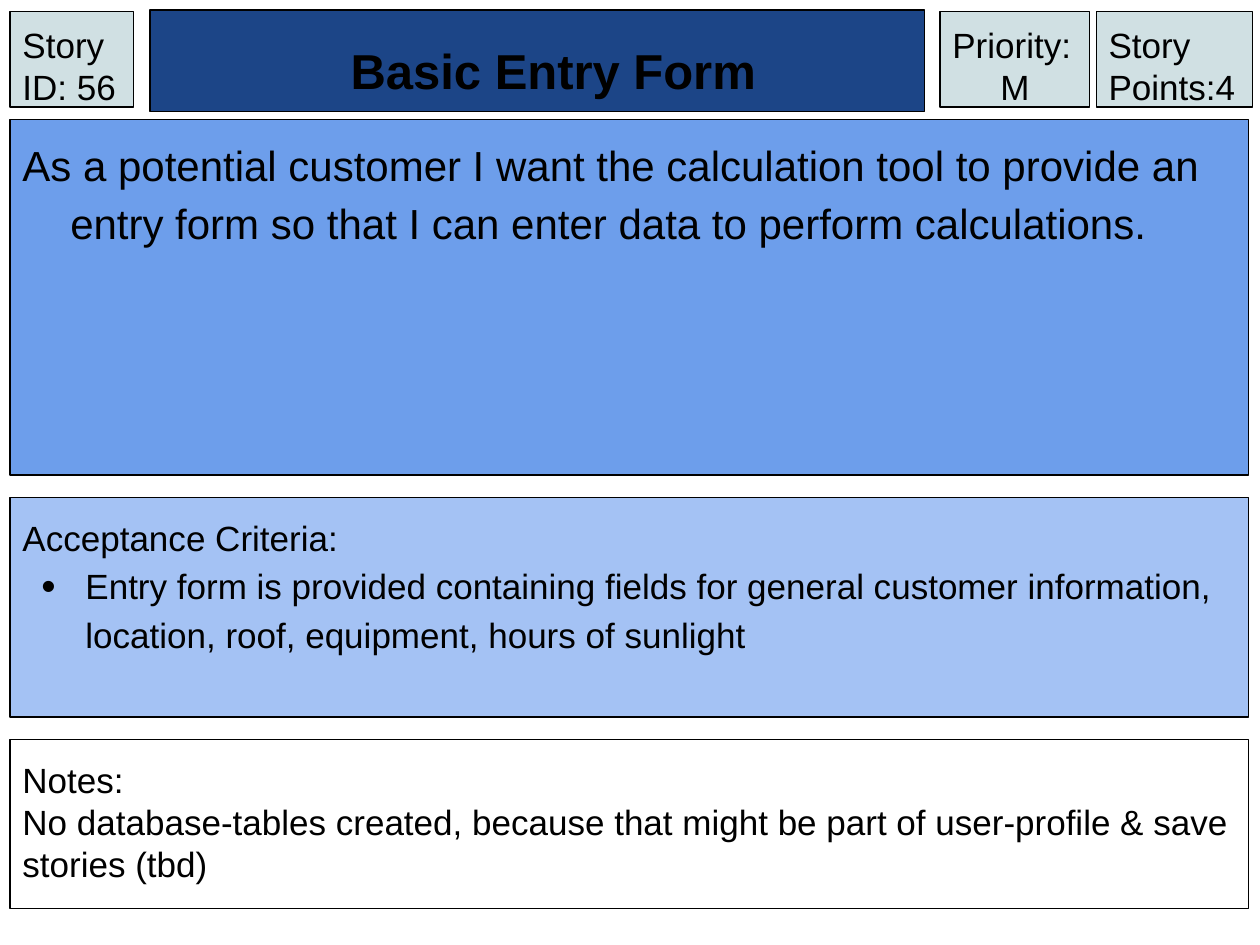
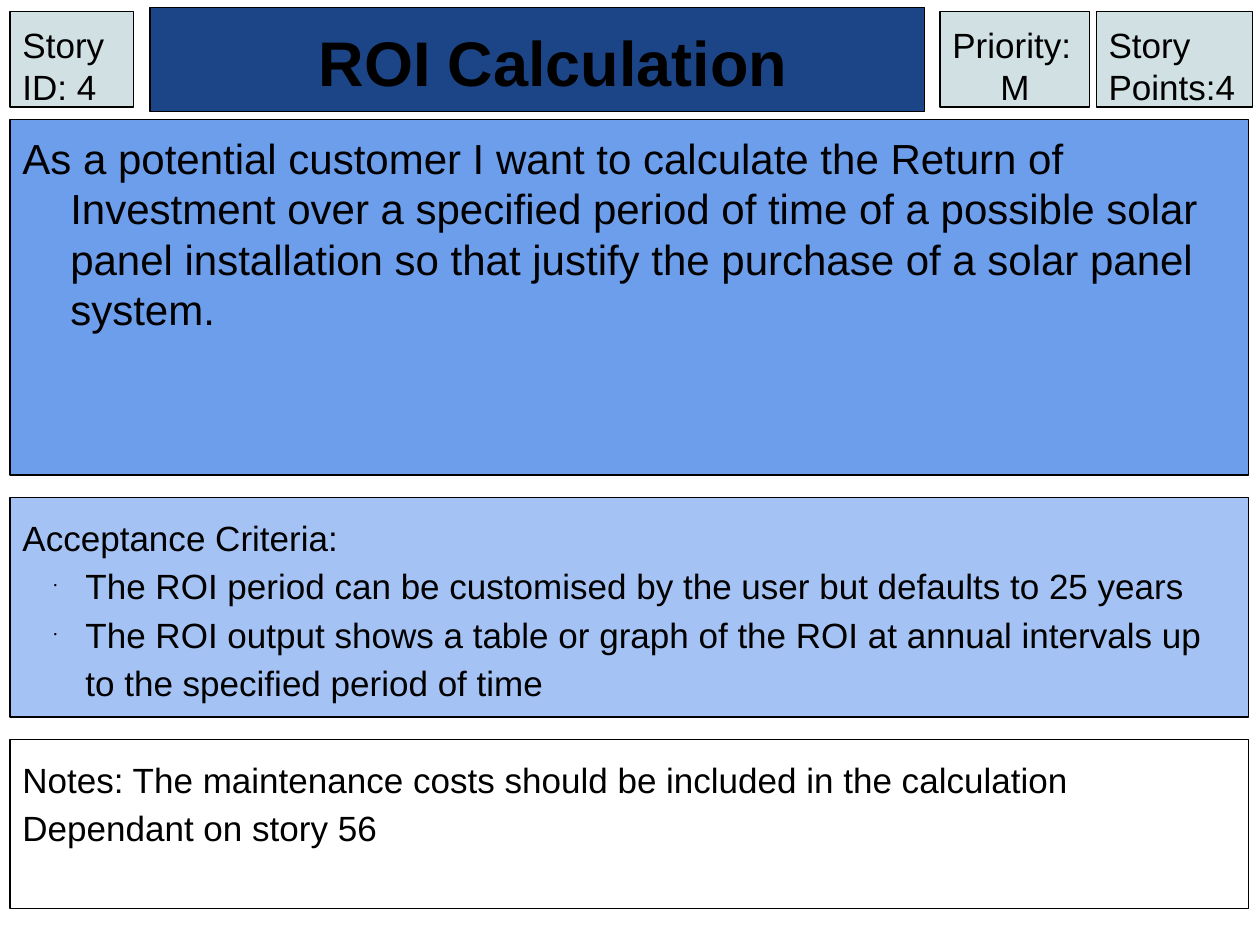
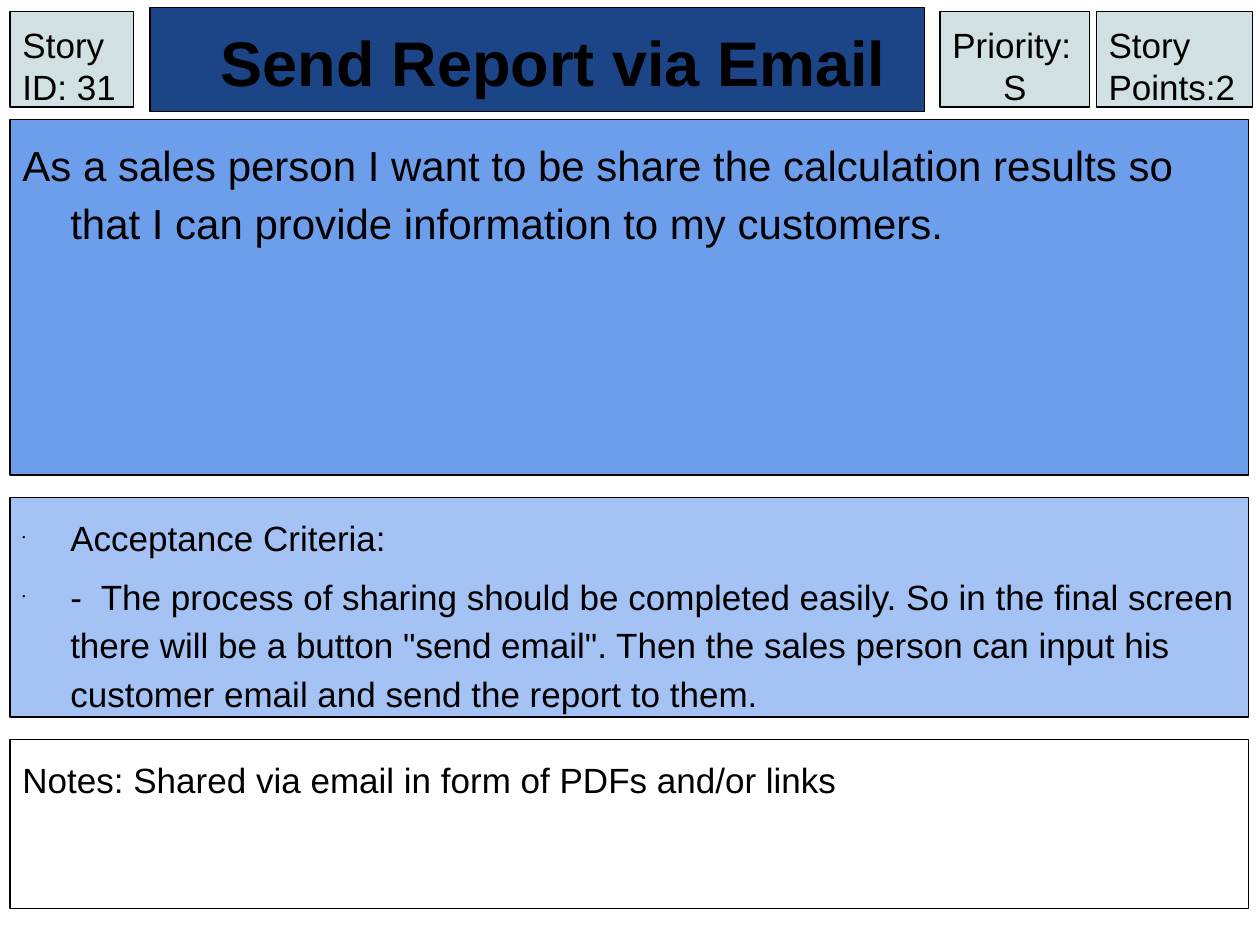
from lxml.etree import SubElement
from pptx import Presentation
from pptx.dml.color import RGBColor
from pptx.enum.shapes import MSO_SHAPE as Shape
from pptx.enum.text import MSO_ANCHOR as Anchor, PP_ALIGN as Align
from pptx.oxml.ns import qn
from pptx.util import Inches, Pt

FONT = "Arial"
BLACK = RGBColor(0x00, 0x00, 0x00)
NAVY = RGBColor(0x1C, 0x45, 0x87)
BLUE = RGBColor(0x6D, 0x9E, 0xEB)
LIGHT_BLUE = RGBColor(0xA4, 0xC2, 0xF4)
PALE_TEAL = RGBColor(0xD0, 0xE0, 0xE3)

# Paragraph formats
PLAIN = {}
CENTRED = dict(align=Align.CENTER)
TITLE = dict(align=Align.CENTER, indent=0.25, bold=True)
HANGING = dict(left=0.38, indent=-0.38)
SPACED = dict(HANGING, line_spacing=1.15)
LARGE_BULLET = dict(left=0.5, indent=-0.35, line_spacing=1.15, bullet_percent=117)
TINY_BULLET = dict(left=0.5, indent=-0.25, line_spacing=1.15, bullet_percent=25)
OUTER_BULLET = dict(SPACED, bullet_percent=25)

STORIES = [
    dict(
        id=56, priority="M", points=4,
        title="Basic Entry Form", title_size=28, title_top=0.08,
        story=[("As a potential customer I want the calculation tool to provide an entry "
                "form so that I can enter data to perform calculations.", SPACED)],
        criteria=[
            ("Acceptance Criteria:", SPACED),
            ("Entry form is provided containing fields for general customer information, "
             "location, roof, equipment, hours of sunlight", LARGE_BULLET),
        ],
        notes=[
            ("Notes:", SPACED),
            ("No database-tables created, because that might be part of user-profile & "
             "save stories (tbd)", PLAIN),
        ],
    ),
    dict(
        id=4, priority="M", points=4,
        title="ROI Calculation", title_size=36, title_top=0.06,
        story=[("As a potential customer I want to calculate the Return of Investment over "
                "a specified period of time of a possible solar panel installation so that "
                "justify the purchase of a solar panel system.", HANGING)],
        criteria=[
            ("Acceptance Criteria:", SPACED),
            ("The ROI period can be customised by the user but defaults to 25 years",
             TINY_BULLET),
            ("The ROI output shows a table or graph of the ROI at annual intervals up to "
             "the specified period of time", TINY_BULLET),
        ],
        notes=[
            ("Notes: The maintenance costs should be included in the calculation", SPACED),
            ("Dependant on story 56", SPACED),
        ],
    ),
    dict(
        id=31, priority="S", points=2,
        title="Send Report via Email", title_size=36, title_top=0.06,
        story=[("As a sales person I want to be share the calculation results so that I can "
                "provide information to my customers.", SPACED)],
        criteria=[
            ("Acceptance Criteria:", OUTER_BULLET),
            ("-  The process of sharing should be completed easily. So in the final screen "
             "there will be a button \"send email\". Then the sales person can input his "
             "customer email and send the report to them.",
             dict(OUTER_BULLET, space_before=6)),
        ],
        notes=[("Notes: Shared via email in form of PDFs and/or links", SPACED)],
    ),
]

# Layout in inches
PANEL_LEFT, PANEL_WIDTH = 0.08, 9.83
TITLE_LEFT, TITLE_WIDTH, TITLE_BOTTOM = 1.19, 6.15, 0.885
TAG_TOP, TAG_HEIGHT = 0.09, 0.76
PANELS = [  # key, top, height, fill, text size
    ("story", 0.95, 2.82, BLUE, 24),
    ("criteria", 3.95, 1.74, LIGHT_BLUE, 20),
    ("notes", 5.87, 1.34, None, 20),
]


def add_bullet(properties, percent):
    color = SubElement(properties, qn("a:buClr"))
    SubElement(color, qn("a:srgbClr"), val=str(BLACK))
    SubElement(properties, qn("a:buSzPct"), val=str(percent * 1000))
    SubElement(properties, qn("a:buFont"), typeface=FONT)
    SubElement(properties, qn("a:buChar"), char="•")


def write_paragraph(paragraph, text, size, left=0, indent=0, align=Align.LEFT, bold=False,
                    line_spacing=1.0, space_before=0, bullet_percent=None):
    properties = paragraph._p.get_or_add_pPr()
    properties.set("marL", str(Inches(left)))
    properties.set("indent", str(Inches(indent)))
    if bullet_percent:
        add_bullet(properties, bullet_percent)
    paragraph.alignment = align
    paragraph.line_spacing = line_spacing
    paragraph.space_before = Pt(space_before)
    run = paragraph.add_run()
    run.text = text
    run.font.name = FONT
    run.font.size = Pt(size)
    run.font.bold = bold
    run.font.color.rgb = BLACK


def add_box(slide, left, top, width, height, fill, paragraphs, size=20, anchor=Anchor.TOP):
    shape = slide.shapes.add_shape(Shape.RECTANGLE, Inches(left), Inches(top),
                                   Inches(width), Inches(height))
    shape.shadow.inherit = False
    if fill is None:
        shape.fill.background()
    else:
        shape.fill.solid()
        shape.fill.fore_color.rgb = fill
    shape.line.color.rgb = BLACK
    shape.line.width = Pt(0.75)
    frame = shape.text_frame
    frame.word_wrap = True
    frame.vertical_anchor = anchor
    frame.margin_left = frame.margin_right = Inches(0.1)
    frame.margin_top = frame.margin_bottom = Inches(0.1)
    for index, (text, style) in enumerate(paragraphs):
        paragraph = frame.add_paragraph() if index else frame.paragraphs[0]
        write_paragraph(paragraph, text, size, **style)


def add_story_card(presentation, card):
    slide = presentation.slides.add_slide(presentation.slide_layouts[6])
    for key, top, height, fill, size in PANELS:
        add_box(slide, PANEL_LEFT, top, PANEL_WIDTH, height, fill, card[key], size)
    add_box(slide, TITLE_LEFT, card["title_top"], TITLE_WIDTH,
            TITLE_BOTTOM - card["title_top"], NAVY, [(card["title"], TITLE)],
            card["title_size"], Anchor.BOTTOM)
    tags = [  # left, width, paragraphs
        (8.7, 1.24, [(f"Story Points:{card['points']}", PLAIN)]),
        (7.46, 1.19, [("Priority:", PLAIN), (card["priority"], CENTRED)]),
        (0.08, 0.98, [(f"Story ID: {card['id']}", PLAIN)]),
    ]
    for left, width, paragraphs in tags:
        add_box(slide, left, TAG_TOP, width, TAG_HEIGHT, PALE_TEAL, paragraphs)


def main():
    presentation = Presentation()
    presentation.slide_width = Inches(10)
    presentation.slide_height = Inches(7.5)
    for card in STORIES:
        add_story_card(presentation, card)
    presentation.save("out.pptx")


if __name__ == "__main__":
    main()
